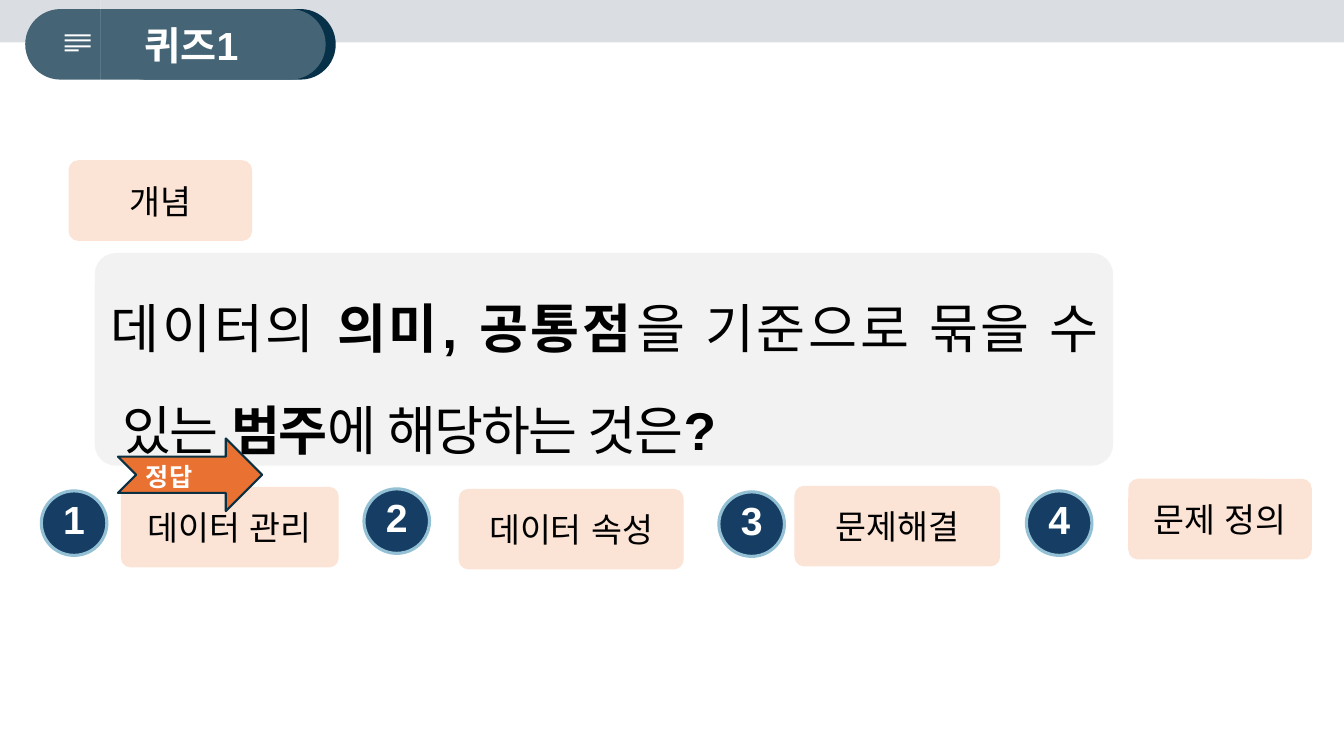
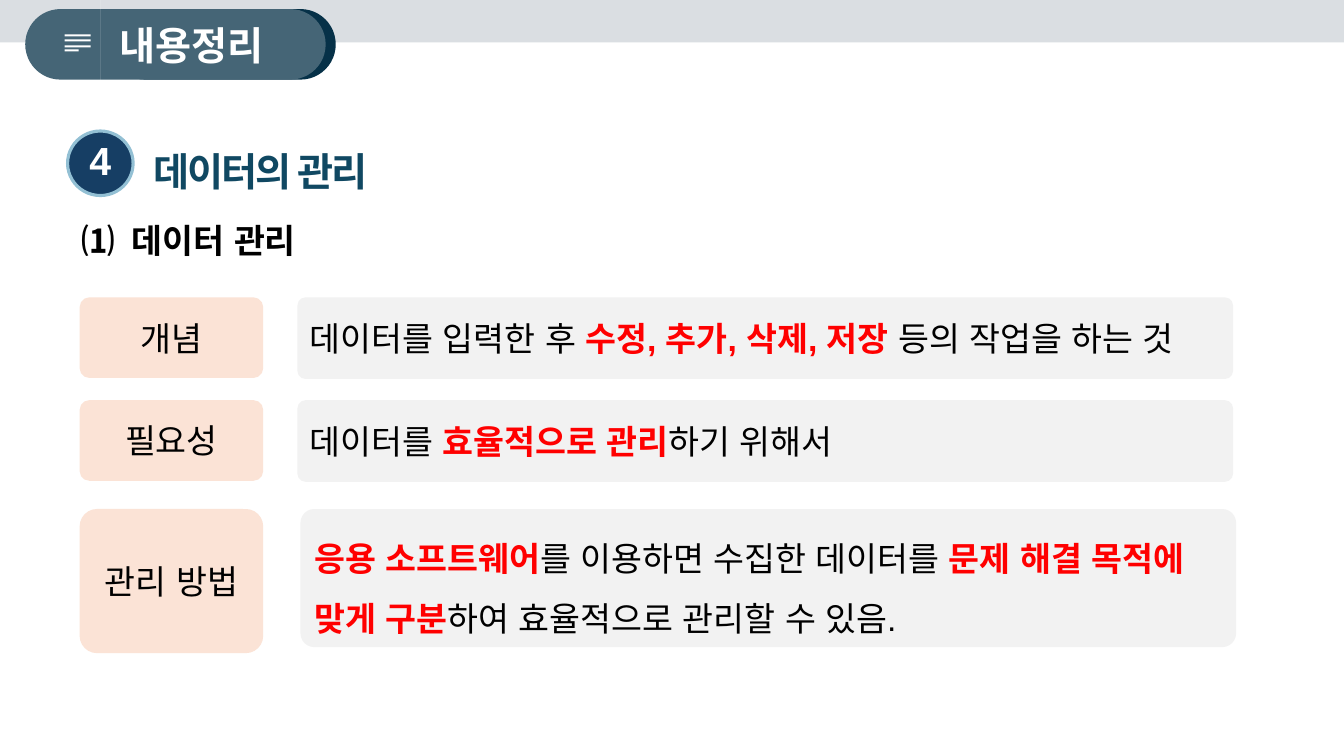
from pptx import Presentation
from pptx.dml.color import RGBColor
from pptx.enum.lang import MSO_LANGUAGE_ID
from pptx.enum.shapes import MSO_SHAPE
from pptx.enum.text import MSO_ANCHOR, MSO_AUTO_SIZE, PP_ALIGN
from pptx.util import Inches, Pt

# Shared look
BLACK, WHITE, RED = "000000", "FFFFFF", "FF0000"
BAND, TAB, TAB_EDGE = "DADEE2", "456576", "063148"
NAVY, RING_BLUE, HEADING = "163E64", "93C0D4", "104862"
PEACH, PALE_GRAY = "FBE3D6", "F2F2F2"
ORANGE, ARROW_LINE = "E97132", "0A3041"
FONT = "Arial"


def rgb(value):
    return RGBColor.from_string(value)


def paint(shape, fill, line=None, width=0):
    shape.shadow.inherit = False
    shape.fill.solid()
    shape.fill.fore_color.rgb = rgb(fill)
    if line:
        shape.line.color.rgb = rgb(line)
        shape.line.width = Pt(width)
    else:
        shape.line.fill.background()
    return shape


def add_box(shapes, kind, place, fill, line=None, width=0, corner=None):
    box = shapes.add_shape(kind, *map(Inches, place))
    if corner is not None:
        box.adjustments[0] = corner
    return paint(box, fill, line, width)


def write(box, spans, size, color=BLACK, bold=False, align=PP_ALIGN.LEFT,
          line_spacing=None, tracking=0, hanging=0, font=FONT,
          anchor=MSO_ANCHOR.MIDDLE):
    """Fill a box with one paragraph; a span is (text, bold, colour) or plain text."""
    frame = box.text_frame
    frame.word_wrap = True
    frame.vertical_anchor = anchor
    para = frame.paragraphs[0]
    para.alignment = align
    if line_spacing is not None:
        para.line_spacing = line_spacing
    if hanging:
        properties = para._p.get_or_add_pPr()
        properties.set("marL", str(Inches(hanging)))
        properties.set("indent", str(-Inches(hanging)))
    if isinstance(spans, str):
        spans = [(spans, bold, color)]
    for text, is_bold, span_color in spans:
        span = para.add_run()
        span.text = text
        span.font.name = font
        span.font.size = Pt(size)
        span.font.bold = is_bold
        span.font.color.rgb = rgb(span_color)
        span.font.language_id = MSO_LANGUAGE_ID.KOREAN
        if tracking:
            span._r.get_or_add_rPr().set("spc", str(round(tracking * 100)))


def add_text(page, place, spans, size, **style):
    box = page.shapes.add_textbox(*map(Inches, place))
    write(box, spans, size, anchor=MSO_ANCHOR.TOP, **style)
    box.text_frame.auto_size = MSO_AUTO_SIZE.SHAPE_TO_FIT_TEXT
    return box


def add_label(page, place, text):
    box = add_box(page.shapes, MSO_SHAPE.ROUNDED_RECTANGLE, place, PEACH, corner=0.12)
    write(box, text, 24, align=PP_ALIGN.CENTER)


def add_panel(page, place, spans, size=24, **style):
    box = add_box(page.shapes, MSO_SHAPE.ROUNDED_RECTANGLE, place, PALE_GRAY, corner=0.1)
    write(box, spans, size, **style)


def add_number(page, left, top, number):
    disc = add_box(page.shapes, MSO_SHAPE.OVAL, (left, top, 0.65, 0.64),
                   NAVY, RING_BLUE, 2.25)
    write(disc, str(number), 28, WHITE, True, PP_ALIGN.CENTER, Pt(28))


def add_notepad(page):
    rings = [0.65, 0.73, 0.81, 0.89]
    bumps = [(x + dx, y) for x in reversed(rings) for dx, y in
             [(0.01, 0.2), (0.01, 0.19), (0, 0.18), (-0.01, 0.19), (-0.01, 0.2)]]
    bites = [(x + dx, y) for x in rings for dx, y in
             [(-0.01, 0.23), (-0.02, 0.25), (-0.01, 0.27), (0, 0.28),
              (0.01, 0.27), (0.02, 0.25), (0.01, 0.23)]]
    outline = [(0.59, 0.62), (0.62, 0.62), (0.62, 0.66), (0.63, 0.67), (0.98, 0.67),
               (0.99, 0.66), (0.99, 0.25), (0.98, 0.24), (0.96, 0.24), (0.96, 0.22),
               (0.94, 0.2), *bumps, (0.59, 0.2), (0.57, 0.22), (0.57, 0.61)]
    back_sheet = [(0.97, 0.26), (0.97, 0.65), (0.64, 0.65), (0.64, 0.62),
                  (0.94, 0.62), (0.96, 0.61), (0.96, 0.26)]
    front_sheet = [(0.61, 0.23), *bites, (0.93, 0.23), (0.93, 0.59), (0.61, 0.59)]

    icon = page.shapes.add_group_shape().shapes
    builder = icon.build_freeform(*outline[0], scale=Inches(1))
    builder.add_line_segments(outline[1:], close=True)
    for hole in (back_sheet, front_sheet):
        builder.move_to(*hole[0])
        builder.add_line_segments(hole[1:], close=True)
    paint(builder.convert_to_shape(), WHITE)
    for top, width in [(0.34, 0.26), (0.39, 0.26), (0.45, 0.26), (0.49, 0.14)]:
        add_box(icon, MSO_SHAPE.RECTANGLE, (0.64, top, width, 0.02), WHITE)


def add_header(page, title):
    add_box(page.shapes, MSO_SHAPE.RECTANGLE, (0, -0.02, 13.33, 0.44), BAND)
    tab = page.shapes.add_group_shape().shapes
    for left, width, fill in [(1.09, 2.24, TAB_EDGE), (0.25, 2.98, TAB)]:
        add_box(tab, MSO_SHAPE.ROUNDED_RECTANGLE, (left, 0.09, width, 0.7), fill, corner=0.5)
    add_text(page, (0.99, 0.16, 1.82, 0.57), title, 28,
             color=WHITE, bold=True, align=PP_ALIGN.CENTER)
    add_notepad(page)


def build_quiz(page):
    add_header(page, "퀴즈1")
    add_label(page, (0.68, 1.59, 1.82, 0.8), "개념")
    question = [("데이터의 ", False, BLACK), ("의미, 공통점", True, BLACK),
                ("을 기준으로 묶을 수 있는 ", False, BLACK), ("범주", True, BLACK),
                ("에 해당하는 것은", False, BLACK), ("?", True, BLACK)]
    add_panel(page, (0.94, 2.51, 10.1, 2.11), question, 38, align=PP_ALIGN.JUSTIFY,
              line_spacing=1.6, tracking=-1.5, hanging=0.12)

    # Choices: disc left and top, label left, top and width, wording
    choices = [(0.41, 4.87, 1.2, 4.83, 2.16, "데이터 관리"),
               (3.61, 4.85, 4.55, 4.85, 2.23, "데이터 속성"),
               (7.13, 4.88, 7.88, 4.82, 2.04, "문제해결"),
               (10.18, 4.87, 11.19, 4.75, 1.82, "문제 정의")]
    for number, (disc_left, disc_top, left, top, width, text) in enumerate(choices, 1):
        add_number(page, disc_left, disc_top, number)
        add_label(page, (left, top, width, 0.8), text)

    # Answer marker
    arrow = add_box(page.shapes, MSO_SHAPE.NOTCHED_RIGHT_ARROW,
                    (1.17, 4.35, 1.43, 0.72), ORANGE, ARROW_LINE, 1.5)
    write(arrow, "정답", 18, WHITE, True, font="Roboto", anchor=MSO_ANCHOR.TOP)


def build_summary(page):
    add_header(page, "내용정리")
    add_number(page, 0.67, 1.3, 4)
    heading = add_text(page, (1.44, 1.33, 8.59, 0.61), "데이터의 관리", 28,
                       color=HEADING, bold=True, line_spacing=1.2, tracking=-1.5)
    heading.text_frame.margin_left = Inches(0.08)
    heading.text_frame.margin_right = 0
    heading.text_frame.margin_top = heading.text_frame.margin_bottom = Inches(0.04)
    add_text(page, (0.71, 2.13, 6.67, 0.5), "⑴\t데이터 관리", 24, bold=True, hanging=0.5)

    # Rows: top, label height, panel left and height, line spacing, label, description
    rows = [
        (2.95, 0.8, 2.95, 0.81, None, "개념",
         [("데이터를 입력한 후 ", False, BLACK), ("수정, 추가, 삭제, 저장", True, RED),
          (" 등의 작업을 하는 것", False, BLACK)]),
        (3.97, 0.8, 2.95, 0.81, None, "필요성",
         [("데이터를 ", False, BLACK), ("효율적으로 관리", True, RED),
          ("하기 위해서", False, BLACK)]),
        (5.05, 1.43, 2.98, 1.37, 1.5, "관리 방법",
         [("응용 소프트웨어", True, RED), ("를 이용하면 수집한 데이터를 ", False, BLACK),
          ("문제 해결 목적에 맞게 구분", True, RED),
          ("하여 효율적으로 관리할 수 있음.", False, BLACK)]),
    ]
    for top, label_height, left, height, spacing, label, description in rows:
        add_label(page, (0.79, top, 1.82, label_height), label)
        add_panel(page, (left, top, 9.28, height), description, line_spacing=spacing)


def main():
    deck = Presentation()
    deck.slide_width, deck.slide_height = Inches(13.33), Inches(7.5)
    for build in (build_quiz, build_summary):
        build(deck.slides.add_slide(deck.slide_layouts[6]))
    deck.save("out.pptx")


if __name__ == "__main__":
    main()
